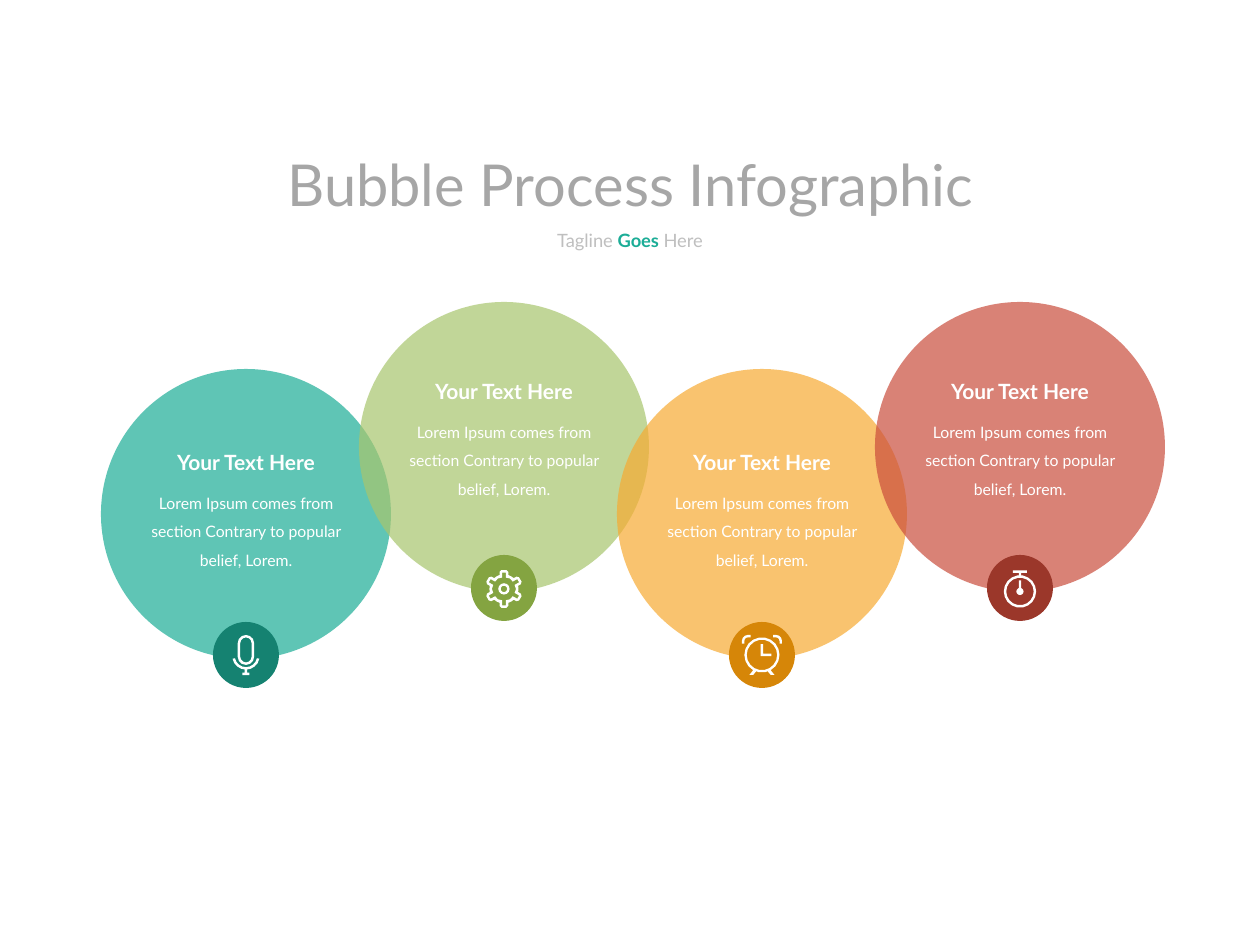
from math import cos, radians, sin

from lxml.etree import SubElement
from pptx import Presentation
from pptx.dml.color import RGBColor
from pptx.enum.shapes import MSO_SHAPE as SHAPE
from pptx.enum.text import MSO_AUTO_SIZE as AUTO, PP_ALIGN as ALIGN
from pptx.oxml.ns import qn
from pptx.util import Pt

PX = 914400 / 126
COLORS = {
    "title": "A6A6A6", "tagline": "BFBFBF", "white": "FFFFFF",
    "teal": "1CAD97", "teal_dark": "158271",
    "green": "A8C56D", "green_dark": "84A441",
    "orange": "F7AA32", "orange_dark": "D68608",
    "red": "CA4D3D", "red_dark": "9B372A",
}
HEADING = "Your Text Here"
BODY = "Lorem Ipsum comes from section Contrary to popular belief, Lorem."


def px(n):
    return int(n * PX)


def rgb(name):
    return RGBColor.from_string(COLORS[name])


def arc(x, y, r, start, end):
    steps = round(abs(end - start) / (20 if r > 100 else 30))
    angles = [radians(start + (end - start) * i / steps) for i in range(steps + 1)]
    return [(x + r * cos(a), y + r * sin(a)) for a in angles]


def ring(x, y, r):
    return arc(x, y, r, 0, 360)[:-1]


def rect(x1, y1, x2, y2):
    return [(x1, y1), (x2, y1), (x2, y2), (x1, y2)]


def mirror(points):
    return [(-x, y) for x, y in points]


def capsule(r, top, bottom):
    return arc(0, top + r, r, 180, 360) + arc(0, bottom - r, r, 0, 180)


def gear_outline(tooth, valley, cy):
    profile = mirror(tooth)[::-1] + tooth + [(valley / 2, -valley * cos(radians(30)))]
    turns = [radians(60 * i) for i in range(6)]
    return [(x * cos(t) - y * sin(t), cy + x * sin(t) + y * cos(t))
            for t in turns for x, y in profile]


def microphone():
    cradle = arc(0, 10, 137, 12, 168) + arc(0, 10, 112, 168, 12)
    return [capsule(82, -200, 100), capsule(57, -175, 75), cradle,
            rect(-12, 147, 12, 176), rect(-35, 176, 35, 201)]


def gear():
    outer = [(25, -189), (44, -170), (44, -139)]
    inner = [(19, -164), (19, -113)]
    return [gear_outline(outer, 145, 10), gear_outline(inner, 120, 10),
            ring(0, 10, 57), ring(0, 10, 32)]


def alarm_clock():
    hands = [(-12, -108), (12, -108), (12, -12), (95, -12), (95, 12), (-12, 12)]
    foot = [(-88, 153), (-126, 201), (-88, 201), (-60, 166)]
    bell = ([(-201, -113)] + arc(-139, -139, 62, 180, 270)
            + [(-113, -201), (-113, -176)]
            + arc(-139, -139, 37, 270, 180) + [(-176, -113)])
    return [ring(0, 0, 176), ring(0, 0, 152), hands,
            foot, mirror(foot), bell, mirror(bell)]


def stopwatch():
    return [ring(0, 35, 162), ring(0, 35, 137), rect(-70, -176, 70, -151),
            rect(-12, -151, 12, -126), rect(-12, -75, 12, 0), ring(0, 35, 36)]


class Deck:
    font = "Lato"

    def __init__(self, width, height):
        self.prs = Presentation()
        self.prs.slide_width, self.prs.slide_height = px(width), px(height)
        self.s = self.prs.slides.add_slide(self.prs.slide_layouts[6])

    def paint(self, sp, color):
        sp.shadow.inherit = False
        sp.fill.solid()
        sp.fill.fore_color.rgb = rgb(color)
        sp.line.fill.background()

    def circle(self, x, y, size, color, opacity=100):
        sp = self.s.shapes.add_shape(SHAPE.OVAL, px(x), px(y), px(size), px(size))
        self.paint(sp, color)
        if opacity < 100:
            clr = sp.fill._xPr.find(qn("a:solidFill"))[0]
            SubElement(clr, qn("a:alpha"), val=str(opacity * 1000))

    def icon(self, x, y, contours):
        first, *rest = contours
        fb = self.s.shapes.build_freeform(*first[0], scale=PX / 10)
        fb.add_line_segments(first[1:], close=True)
        for points in rest:
            fb.move_to(*points[0])
            fb.add_line_segments(points[1:], close=True)
        self.paint(fb.convert_to_shape(px(x), px(y)), "white")

    def text(self, x, y, w, h, runs, size, bold=None, wrap=False, spacing=None):
        sp = self.s.shapes.add_textbox(px(x), px(y), px(w), px(h))
        tf = sp.text_frame
        tf.word_wrap = wrap
        tf.auto_size = AUTO.SHAPE_TO_FIT_TEXT
        p = tf.paragraphs[0]
        p.alignment = ALIGN.CENTER
        p.line_spacing = spacing
        p.font.name, p.font.size, p.font.bold = self.font, Pt(size), bold
        for words, color, strong in runs:
            r = p.add_run()
            r.text = words
            r.font.color.rgb = rgb(color)
            r.font.bold = strong


def main():
    deck = Deck(1260, 945)
    deck.text(257, 143, 747, 83, [("Bubble Process Infographic", "title", None)], 33)
    deck.text(542, 223, 176, 35, [("Tagline ", "tagline", None),
                                  ("Goes ", "teal", True),
                                  ("Here", "tagline", None)], 10.5)

    icons = {"teal": microphone, "green": gear, "orange": alarm_clock, "red": stopwatch}
    steps = [(246 + 258 * i, *((302, 372) if i % 2 else (369, 443)), color)
             for i, color in enumerate(icons)]
    for x, top, _, color in steps:
        deck.circle(x - 145, top, 290, color, 70)
        deck.circle(x - 33, top + 253, 66, color + "_dark")
    for x, top, _, color in steps:
        deck.icon(x, top + 286, icons[color]())
    for x, _, y, _ in steps:
        deck.text(x - 86, y, 172, 38, [(HEADING, "white", None)], 12, bold=True)
        deck.text(x - 110, y + 35, 220, 98, [(BODY, "white", None)], 9,
                  wrap=True, spacing=1.5)
    deck.prs.save("out.pptx")


if __name__ == "__main__":
    main()
